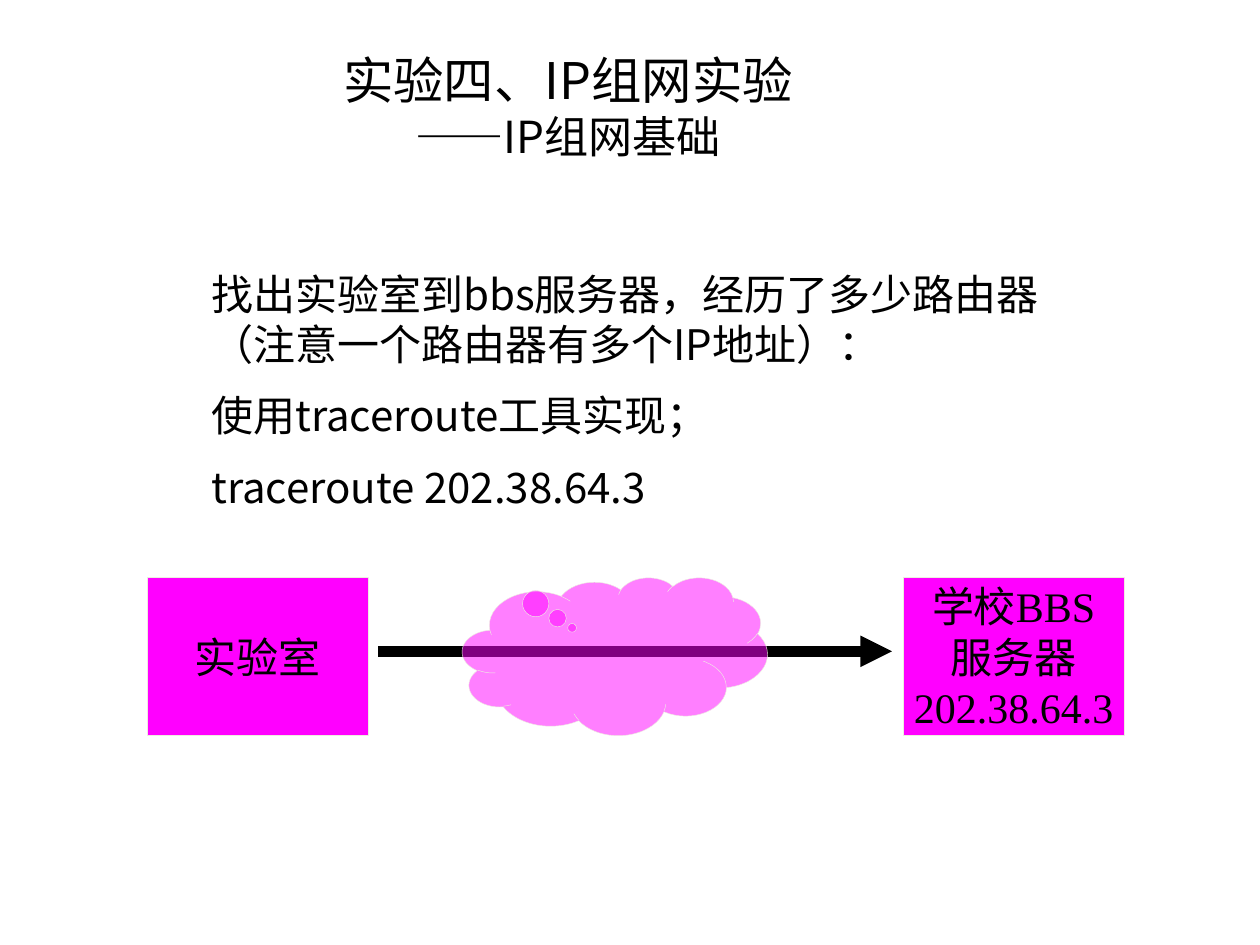
from lxml.etree import SubElement as Sub
from pptx import Presentation
from pptx.dml.color import RGBColor as Rgb
from pptx.enum.shapes import MSO_CONNECTOR as Line, MSO_SHAPE as Kind
from pptx.enum.text import MSO_ANCHOR as Anchor, PP_ALIGN as Align
from pptx.oxml.ns import qn
from pptx.util import Cm, Pt

HUE = {"ink": "000000", "pink": "FF00FF", "edge": "EEECE1"}
SANS, SERIF = "Noto Sans CJK JP", "Times New Roman"

TITLE = [("实验四、IP组网实验", 28.8), ("——IP组网基础", 25.2)]
BODY = [
    "找出实验室到bbs服务器，经历了多少路由器（注意一个路由器有多个IP地址）：",
    "使用traceroute工具实现；",
    "traceroute 202.38.64.3",
]
HOSTS = [
    (2.97, ["实验室"]),
    (18.21, ["学校BBS", "服务器", "202.38.64.3"]),
]
TOP, WIDE, HIGH = 11.64, 4.45, 3.18
ARROW = (7.62, 17.98, 13.13)
CLOUD = (9.32, 6.15)


def color(name):
    return Rgb.from_string(HUE[name])


def write(para, text, size, font):
    run = para.add_run()
    run.text = text
    run.font.size = Pt(size)
    run.font.name = font
    run.font.color.rgb = color("ink")
    Sub(run.font._element, qn("a:ea"), typeface=SANS)


def fill(frame, lines, font, align, gap=0):
    for i, text in enumerate(lines):
        para = frame.add_paragraph() if i else frame.paragraphs[0]
        para.alignment = align
        para.space_before = Pt(gap if i else 0)
        write(para, text, 24, font)


def block(slide, kind, left, wide):
    shape = slide.shapes.add_shape(kind, Cm(left), Cm(TOP), Cm(wide), Cm(HIGH))
    shape.shadow.inherit = False
    shape.fill.solid()
    shape.fill.fore_color.rgb = color("pink")
    shape.line.color.rgb = color("edge")
    shape.line.width = Pt(0.25)
    return shape


def label(slide, left, top, wide, high):
    box = slide.shapes.add_textbox(Cm(left), Cm(top), Cm(wide), Cm(high))
    box.text_frame.word_wrap = True
    return box.text_frame


def arrow(slide):
    start, end, y = ARROW
    link = slide.shapes.add_connector(
        Line.STRAIGHT, Cm(start), Cm(y), Cm(end), Cm(y))
    link.line.color.rgb = color("ink")
    link.line.width = Pt(6)
    Sub(link.line._get_or_add_ln(), qn("a:tailEnd"), type="triangle")
    Sub(link._element.spPr, qn("a:effectLst"))


def main():
    deck = Presentation()
    deck.slide_width, deck.slide_height = Cm(25.4), Cm(19.05)
    slide = deck.slides.add_slide(deck.slide_layouts[6])

    for left, lines in HOSTS:
        frame = block(slide, Kind.RECTANGLE, left, WIDE).text_frame
        frame.word_wrap = False
        frame.vertical_anchor = Anchor.MIDDLE
        fill(frame, lines, SERIF, Align.CENTER)

    arrow(slide)
    cloud = block(slide, Kind.CLOUD_CALLOUT, *CLOUD)
    cloud.adjustments[0], cloud.adjustments[1] = -0.14, -0.18
    tint = cloud._element.spPr.find(qn("a:solidFill"))[0]
    Sub(tint, qn("a:alpha"), val="50000")

    fill(label(slide, 4.01, 5.28, 17.58, 5.38), BODY, SANS, Align.LEFT, 12)

    head = label(slide, 1.91, 1.07, 19.08, 2.11)
    head.vertical_anchor = Anchor.MIDDLE
    para = head.paragraphs[0]
    para.alignment = Align.CENTER
    for i, (text, size) in enumerate(TITLE):
        if i:
            para.add_line_break()
        write(para, text, size, SANS)

    deck.save("out.pptx")


if __name__ == "__main__":
    main()
